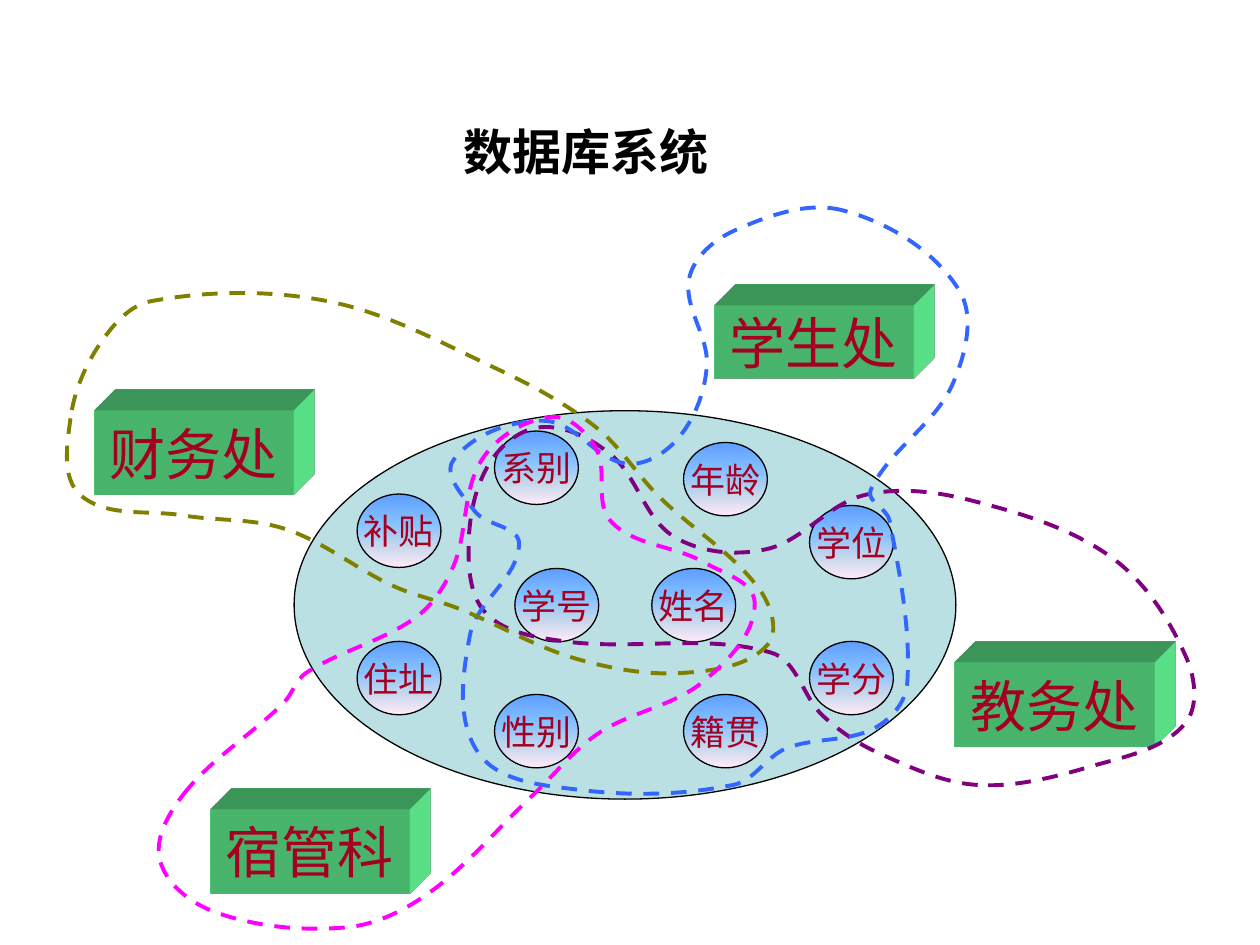
import copy
import math

import lxml.etree
import pptx
import pptx.dml.color
import pptx.enum.dml
import pptx.enum.shapes
import pptx.enum.text
import pptx.oxml
import pptx.oxml.ns
import pptx.util

HUES = {
    "pool": "BBE0E3", "ink": "000000", "red": "A50021", "box": "66FF99",
    "paper": "FFFFFF", "teach": "800080", "study": "3366FF",
    "money": "808000", "dorm": "FF00FF",
}
SHADES = {0: "5E9EFF", 40: "85C2FF", 70: "C4D6EB", 100: "FFEBFA"}
ROWS = [
    (3.18, {"学号": 4.45, "姓名": 7.21}),
    (5.72, {"性别": 4.04, "籍贯": 7.85}),
    (4.65, {"住址": 1.27, "学分": 10.39}),
    (0.41, {"系别": 4.04}),
    (0.64, {"年龄": 7.85}),
    (1.91, {"学位": 10.39}),
    (1.68, {"补贴": 1.27}),
]
OFFICES = [
    ("教务处", 19.25, 13.36, 1.7), ("宿管科", 4.24, 16.31, 1.7),
    ("学生处", 14.4, 6.15, 1.48), ("财务处", 1.9, 8.28, 1.7),
]
LOOPS = {
    "teach": [
        (776, 623), (698, 598), (653, 568), (612, 518), (448, 509),
        (386, 487), (372, 431), (389, 367), (430, 339), (485, 361),
        (535, 426), (608, 436), (686, 393), (770, 397), (883, 443),
        (942, 523), (940, 575), (867, 608)],
    "study": [
        (669, 167), (583, 183), (547, 221), (561, 290), (539, 347),
        (497, 368), (432, 334), (360, 365), (377, 406), (412, 432),
        (373, 504), (380, 598), (461, 627), (582, 623), (624, 594),
        (694, 578), (720, 543), (706, 413), (691, 389), (756, 305),
        (761, 230)],
    "money": [
        (56, 332), (64, 393), (145, 409), (227, 420), (312, 465),
        (364, 483), (458, 523), (543, 534), (609, 512), (603, 468),
        (523, 394), (473, 339), (395, 293), (260, 239), (120, 239),
        (80, 272)],
    "dorm": [
        (146, 630), (225, 558), (243, 534), (330, 490), (360, 449),
        (383, 364), (438, 331), (473, 356), (485, 414), (558, 446),
        (599, 479), (558, 541), (475, 582), (423, 631), (340, 709),
        (275, 736), (171, 724), (127, 683)],
}
DEPTH = """
<a:r xmlns:a="http://schemas.openxmlformats.org/drawingml/2006/main">
<a:scene3d><a:camera prst="legacyObliqueTopRight"/>
<a:lightRig rig="legacyFlat3" dir="b"/></a:scene3d>
<a:sp3d extrusionH="430200" prstMaterial="legacyMatte">
<a:bevelT w="13500" h="13500" prst="angle"/>
<a:bevelB w="13500" h="13500" prst="angle"/>
<a:extrusionClr><a:srgbClr val="%s"/></a:extrusionClr></a:sp3d></a:r>"""
Cm = pptx.util.Cm
Pt = pptx.util.Pt
KIND = pptx.enum.shapes.MSO_SHAPE
qn = pptx.oxml.ns.qn


def hue(name):
    return pptx.dml.color.RGBColor.from_string(HUES[name])


def block(slide, kind, box, fill=None, edge=False):
    shape = slide.shapes.add_shape(kind, *map(Cm, box))
    shape.shadow.inherit = False
    if fill:
        shape.fill.solid()
        shape.fill.fore_color.rgb = hue(fill)
    if edge:
        shape.line.color.rgb = hue("ink")
        shape.line.width = Pt(0.75)
    else:
        shape.line.fill.background()
    return shape


def label(shape, text, size, font, color, bold=False):
    frame = shape.text_frame
    frame.text = text
    para = frame.paragraphs[0]
    para.alignment = pptx.enum.text.PP_ALIGN.CENTER
    face = para.runs[0].font
    face.size, face.name, face.bold = Pt(size), font, bold
    face.color.rgb = hue(color)
    return frame


def field(slide, box, text):
    shape = block(slide, KIND.OVAL, box, edge=True)
    shape.fill.gradient()
    shape.fill.gradient_angle = 270
    stops = shape.element.spPr.find(".//" + qn("a:gsLst"))
    for stop in list(stops):
        stops.remove(stop)
    for place, shade in SHADES.items():
        stop = lxml.etree.SubElement(stops, qn("a:gs"), pos=str(place * 1000))
        lxml.etree.SubElement(stop, qn("a:srgbClr"), val=shade)
    label(shape, text, 20, "Karla", "red").word_wrap = False


def pool(slide, box):
    left, top, width, height = box
    block(slide, KIND.OVAL, box, "pool", True)
    for y, cells in ROWS:
        for text, x in cells.items():
            field(slide, (left + x, top + y, 1.69, 1.48), text)


def office(slide, box, text):
    shape = block(slide, KIND.RECTANGLE, box, "box")
    label(shape, text, 32, "Karla", "red").word_wrap = False
    for part in pptx.oxml.parse_xml(DEPTH % HUES["box"]):
        shape.element.spPr.append(copy.deepcopy(part))


def bend(shape):
    lines = list(shape.element.spPr.iter(qn("a:lnTo")))
    spots = [(int(n[0].get("x")), int(n[0].get("y"))) for n in lines]
    count = len(spots)

    def grip(here, side, span):
        a, b = spots[here - 1], spots[(here + 1) % count]
        reach = side * span / 3 / math.dist(a, b)
        return [round(p + (v - u) * reach) for p, u, v in zip(spots[here], a, b)]

    for i, line in enumerate(lines):
        span = math.dist(spots[i - 1], spots[i])
        line.tag = qn("a:cubicBezTo")
        back = (i - 1) % count
        for at, (x, y) in enumerate([grip(back, 1, span), grip(i, -1, span)]):
            point = lxml.etree.Element(qn("a:pt"), x=str(x), y=str(y))
            line.insert(at, point)


def loop(slide, box, name):
    left, top = map(Cm, box[:2])
    spots = [(x * 100, y * 100) for x, y in LOOPS[name]]
    pen = slide.shapes.build_freeform(*spots[0], scale=Cm(2.54) / 10000)
    pen.add_line_segments(spots[1:] + spots[:1], close=True)
    shape = pen.convert_to_shape(left, top)
    bend(shape)
    shape.shadow.inherit = False
    shape.fill.background()
    shape.line.color.rgb = hue(name)
    shape.line.width = Pt(2.25)
    shape.line.dash_style = pptx.enum.dml.MSO_LINE.DASH


def title(slide, box, text):
    shape = block(slide, KIND.RECTANGLE, box, "paper")
    frame = label(shape, text, 28, "Times New Roman", "ink", True)
    frame.word_wrap = True
    frame.vertical_anchor = pptx.enum.text.MSO_ANCHOR.TOP
    para = frame.paragraphs[0]
    para.line_spacing = 0.9
    para.space_before = Pt(5.6)


def main():
    deck = pptx.Presentation()
    deck.slide_width, deck.slide_height = Cm(25.4), Cm(19.05)
    slide = deck.slides.add_slide(deck.slide_layouts[6])
    pool(slide, (5.93, 8.28, 13.34, 7.83))
    for text, x, y, height in OFFICES:
        office(slide, (x, y, 4.02, height), text)
    for name in LOOPS:
        loop(slide, (0, 0, 25.4, 19.05), name)
    title(slide, (8.51, 2.46, 6.6, 1.68), "数据库系统")
    deck.save("out.pptx")


if __name__ == "__main__":
    main()
